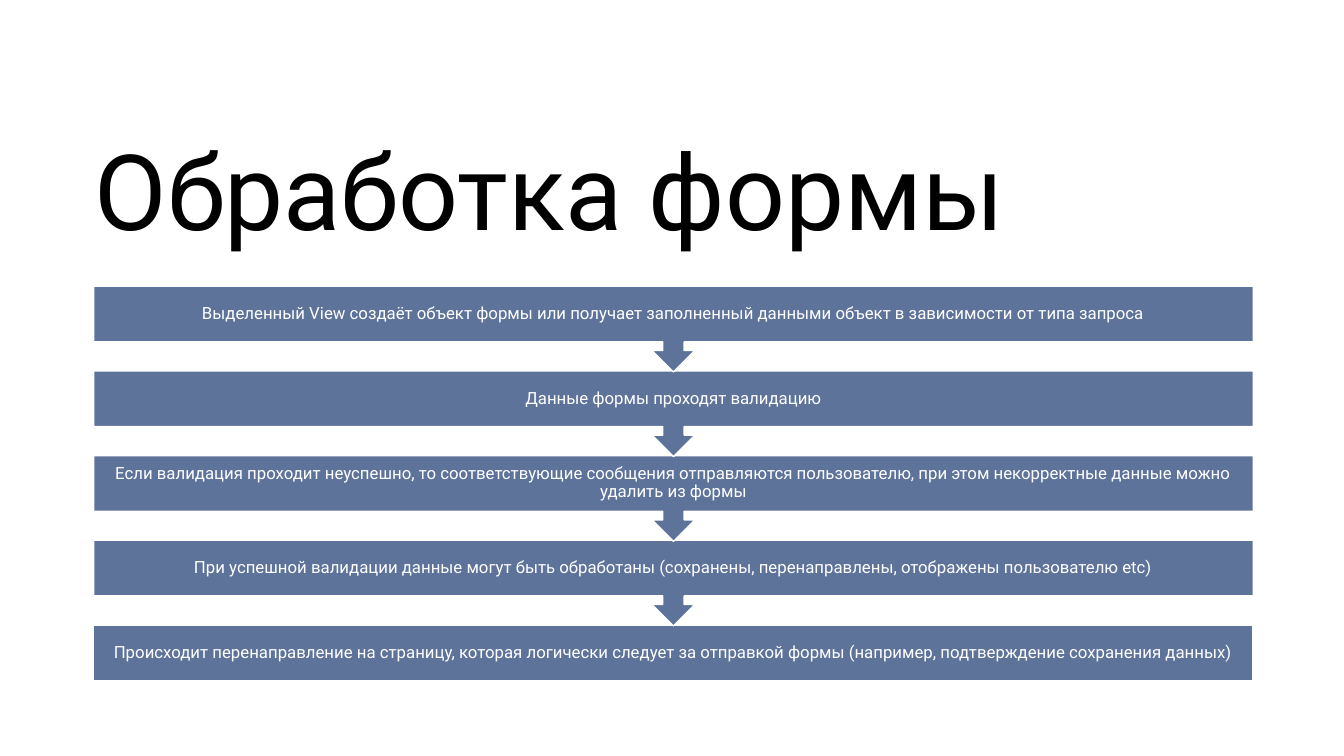
from dataclasses import dataclass

from pptx import Presentation
from pptx.dml.color import RGBColor
from pptx.enum.shapes import MSO_SHAPE
from pptx.enum.text import MSO_ANCHOR, PP_ALIGN
from pptx.util import Inches, Pt

RECTANGLE = MSO_SHAPE.RECTANGLE
DOWN_CALLOUT = MSO_SHAPE.DOWN_ARROW_CALLOUT
MIDDLE = MSO_ANCHOR.MIDDLE
LEFT, CENTER = PP_ALIGN.LEFT, PP_ALIGN.CENTER


@dataclass(frozen=True)
class Theme:
    font: str = "Roboto"
    ink: RGBColor = RGBColor(0x00, 0x00, 0x00)
    white: RGBColor = RGBColor(0xFF, 0xFF, 0xFF)
    step_fill: RGBColor = RGBColor(0x5D, 0x73, 0x9A)
    title_size: float = 75.2
    step_size: float = 12
    line_spacing: float = 0.9


THEME = Theme()

TITLE = "Обработка формы"
STEPS = [
    "Выделенный View создаёт объект формы или получает заполненный данными "
    "объект в зависимости от типа запроса",
    "Данные формы проходят валидацию",
    "Если валидация проходит неуспешно, то соответствующие сообщения "
    "отправляются пользователю, при этом некорректные данные можно удалить из формы",
    "При успешной валидации данные могут быть обработаны (сохранены, "
    "перенаправлены, отображены пользователю etc)",
    "Происходит перенаправление на страницу, которая логически следует за "
    "отправкой формы (например, подтверждение сохранения данных)",
]

# Flow layout, in inches
FLOW_LEFT, FLOW_TOP, FLOW_WIDTH = 0.93, 2.84, 11.5
STEP_PITCH = 0.84
BOX_HEIGHT = 0.55
CALLOUT_HEIGHT = 0.85


def write_text(shape, text, size, color, align, inset):
    frame = shape.text_frame
    frame.word_wrap = True
    frame.vertical_anchor = MIDDLE
    frame.margin_left = frame.margin_right = Inches(inset)
    frame.margin_top = frame.margin_bottom = Inches(inset)
    para = frame.paragraphs[0]
    para.text = text
    para.alignment = align
    para.line_spacing = THEME.line_spacing
    para.font.name = THEME.font
    para.font.size = Pt(size)
    para.font.color.rgb = color


def add_title(page, text):
    box = page.shapes.add_textbox(Inches(0.94), Inches(1.22), Inches(11.5), Inches(1.45))
    write_text(box, text, THEME.title_size, THEME.ink, LEFT, 0)


def add_step(page, kind, top, height, text):
    step = page.shapes.add_shape(
        kind, Inches(FLOW_LEFT), Inches(top), Inches(FLOW_WIDTH), Inches(height))
    step.shadow.inherit = False
    step.fill.solid()
    step.fill.fore_color.rgb = THEME.step_fill
    step.line.color.rgb = THEME.white
    step.line.width = Pt(1)
    write_text(step, text, THEME.step_size, THEME.white, CENTER, 0.09)


def add_flow(page, steps):
    # Built from the bottom up, so each arrow lies over the next box
    last = len(steps) - 1
    for index in range(last, -1, -1):
        top = FLOW_TOP + index * STEP_PITCH
        if index == last:
            add_step(page, RECTANGLE, top, BOX_HEIGHT, steps[index])
        else:
            add_step(page, DOWN_CALLOUT, top, CALLOUT_HEIGHT, steps[index])


def main():
    deck = Presentation()
    deck.slide_width, deck.slide_height = Inches(13.33), Inches(7.5)
    page = deck.slides.add_slide(deck.slide_layouts[6])
    add_title(page, TITLE)
    add_flow(page, STEPS)
    deck.save("out.pptx")


main()
